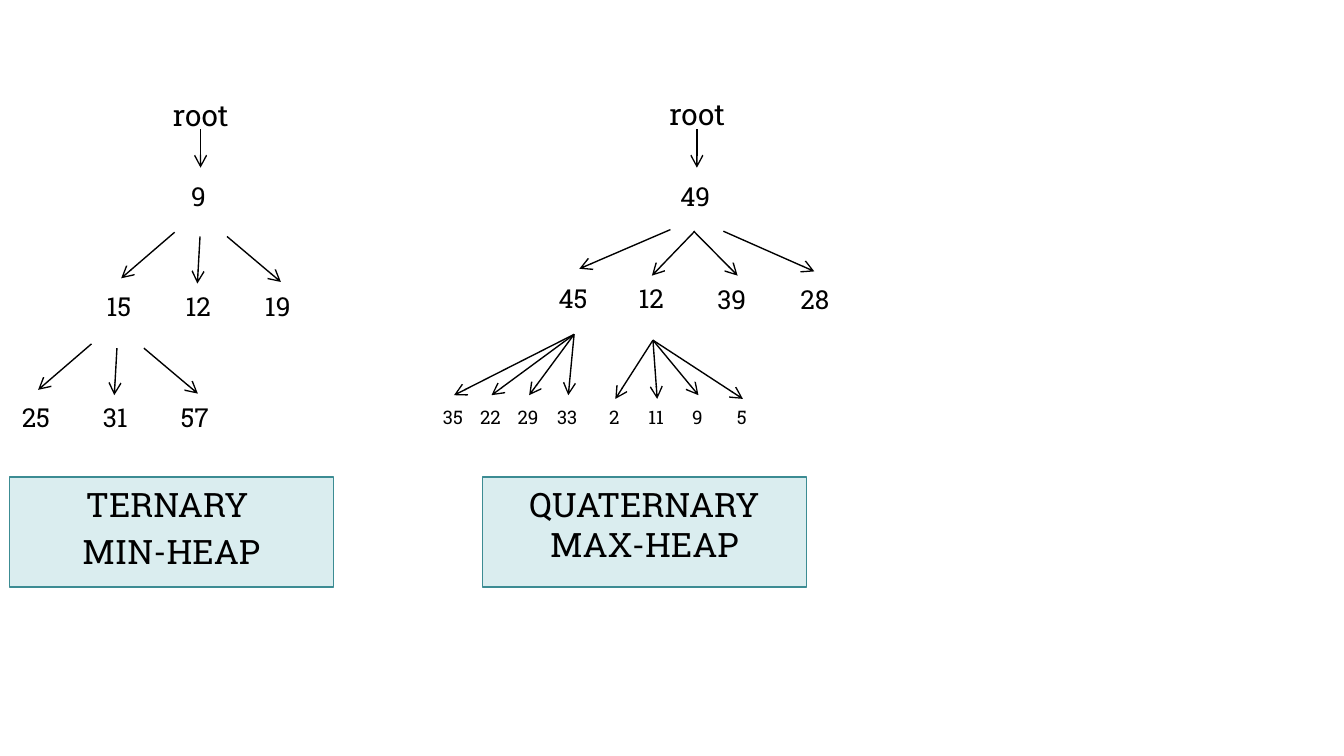
from lxml import etree
from pptx import Presentation
from pptx import util as u
from pptx.dml.color import RGBColor
from pptx.enum import shapes, text
from pptx.oxml.ns import qn

BLACK = RGBColor(0x00, 0x00, 0x00)
PALE_TEAL = RGBColor(0xDA, 0xED, 0xEF)
TEAL = RGBColor(0x3C, 0x8C, 0x93)


class HeapSlide:
    """Holds the style and the current slide; lengths are in centimetres."""

    font = "Roboto Slab"
    line_width = u.Pt(0.75)
    node_frame = {"margin_left": 0, "margin_right": 0, "word_wrap": False}
    wrapped_frame = {"word_wrap": True}

    def __init__(self, slide):
        self.slide = slide

    def fill_text(self, shape, lines, size, align, frame_format):
        frame = shape.text_frame
        frame.vertical_anchor = text.MSO_ANCHOR.TOP
        for name, value in frame_format.items():
            setattr(frame, name, value)
        for i, line in enumerate(lines):
            paragraph = frame.add_paragraph() if i else frame.paragraphs[0]
            paragraph.text = line
            paragraph.alignment = align
            if i:
                paragraph.space_before = u.Pt(size * 0.2)
            for name, value in {"name": self.font, "size": u.Pt(size)}.items():
                setattr(paragraph.font, name, value)
            paragraph.font.color.rgb = BLACK

    def node(self, value, center, top, size=14, width=0.89, height=1.09):
        box = self.slide.shapes.add_textbox(
            u.Cm(center - width / 2), u.Cm(top), u.Cm(width), u.Cm(height))
        self.fill_text(box, [value], size, text.PP_ALIGN.CENTER, self.node_frame)

    def arrow(self, start, end):
        line = self.slide.shapes.add_connector(
            shapes.MSO_CONNECTOR.STRAIGHT, *(u.Cm(v) for v in (*start, *end)))
        line.line.color.rgb = BLACK
        line.line.width = self.line_width
        properties = line._element.spPr
        etree.SubElement(properties.find(qn("a:ln")), qn("a:tailEnd"), type="arrow")
        etree.SubElement(properties, qn("a:effectLst"))

    def root(self, left, top):
        box = self.slide.shapes.add_textbox(
            u.Cm(left), u.Cm(top), u.Cm(2.16), u.Cm(1.45))
        self.fill_text(box, ["root"], 16, text.PP_ALIGN.LEFT, self.wrapped_frame)
        self.arrow((left + 0.77, 2.44), (left + 0.77, 3.17))

    def caption(self, lines, left):
        box = self.slide.shapes.add_shape(
            shapes.MSO_SHAPE.RECTANGLE, u.Cm(left), u.Cm(9.02), u.Cm(6.12), u.Cm(2.08))
        box.shadow.inherit = False
        box.fill.solid()
        box.fill.fore_color.rgb = PALE_TEAL
        box.line.color.rgb = TEAL
        box.line.width = self.line_width
        self.fill_text(box, lines, 18, text.PP_ALIGN.CENTER, self.wrapped_frame)

    def ternary_children(self, values, dx=0, dy=0):
        fan = [((3.3, 4.39), (2.29, 5.26)),
               ((3.78, 4.47), (3.73, 5.36)),
               ((4.29, 4.47), (5.31, 5.33))]
        for i, (value, ends) in enumerate(zip(values, fan)):
            self.node(value, 2.25 + 1.5 * i + dx, 5.36 + dy)
            self.arrow(*((x + dx, y + dy) for x, y in ends))

    def quaternary_leaves(self, parent, leaves, width):
        for value, center, tip in leaves:
            self.node(value, center, 7.54, size=10, width=width, height=0.94)
            self.arrow(parent, (center + 0.02, tip))


def main():
    deck = Presentation()
    deck.slide_width, deck.slide_height = u.Cm(25.4), u.Cm(14.29)
    heaps = HeapSlide(deck.slides.add_slide(deck.slide_layouts[6]))

    # Ternary min-heap: the lower branch repeats the upper one, shifted
    heaps.root(3.02, 1.7)
    heaps.node("9", 3.75, 3.28)
    heaps.ternary_children(["15", "12", "19"])
    heaps.ternary_children(["25", "31", "57"], dx=-1.57, dy=2.11)
    heaps.caption(["TERNARY ", "MIN-HEAP"], 0.18)

    # Quaternary max-heap: root and its children
    heaps.root(12.4, 1.68)
    heaps.node("49", 13.14, 3.28)
    children = [("45", 10.83, 5.21, (12.67, 4.34), (10.95, 5.08)),
                ("12", 12.31, 5.21, (13.13, 4.37), (12.32, 5.21)),
                ("39", 13.83, 5.23, (13.11, 4.37), (13.94, 5.21)),
                ("28", 15.4, 5.23, (13.67, 4.37), (15.39, 5.13))]
    for value, center, top, start, end in children:
        heaps.node(value, center, top)
        heaps.arrow(start, end)

    # Quaternary max-heap: leaves as value, centre and arrow tip height
    heaps.quaternary_leaves((10.85, 6.32), [
        ("35", 8.56, 7.47), ("22", 9.27, 7.47),
        ("29", 9.98, 7.47), ("33", 10.72, 7.47)], width=0.41)
    heaps.quaternary_leaves((12.34, 6.43), [
        ("2", 11.61, 7.54), ("11", 12.4, 7.54),
        ("9", 13.18, 7.47), ("5", 14.02, 7.54)], width=0.46)
    heaps.caption(["QUATERNARY MAX-HEAP"], 9.12)

    deck.save("out.pptx")


if __name__ == "__main__":
    main()
